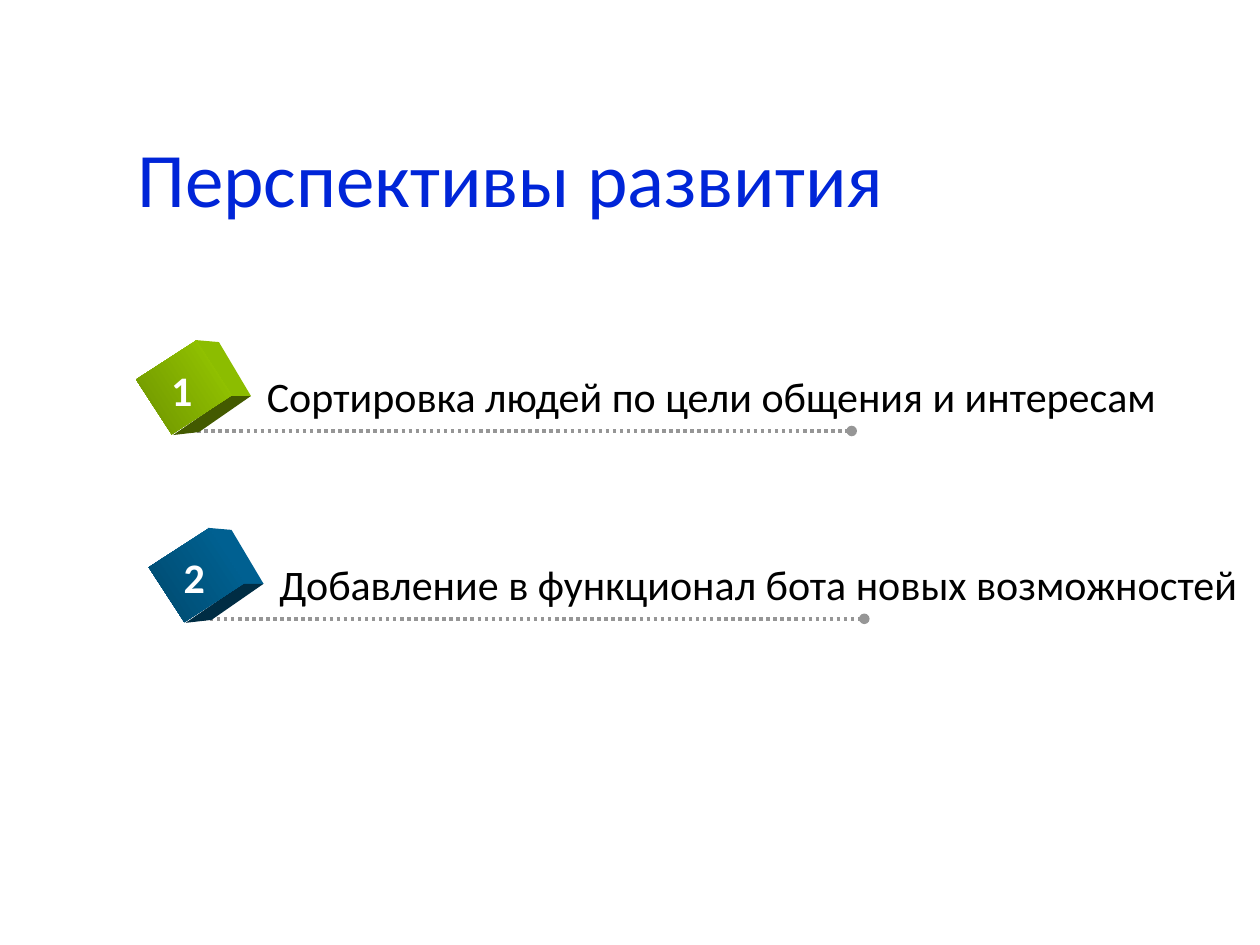
from dataclasses import dataclass

from lxml import etree
from pptx import Presentation
from pptx import util as u
from pptx.dml.color import RGBColor
from pptx.enum import dml, shapes, text
from pptx.oxml.ns import qn

Pt = u.Pt


@dataclass(frozen=True)
class Theme:
    font: str = "Calibri"
    title: str = "0025D8"
    body: str = "000000"
    digit: str = "FFFFFF"
    rule: str = "969696"
    head: int = 44
    size: int = 24


@dataclass(frozen=True)
class Cube:
    light: str
    dark: str
    side: str
    base: str


@dataclass(frozen=True)
class Item:
    label: str
    width: float
    cube: Cube


THEME = Theme()
ITEMS = [
    Item("Сортировка людей по цели общения и интересам", 527.8,
         Cube("99CC00", "6D9200", "8CBD00", "435A00")),
    Item("Добавление в функционал бота новых возможностей", 567.4,
         Cube("006699", "00496D", "006091", "002D44")),
]
# Corner of the first cube, and the step to the next
LEFT, TOP = 86.4, 200.9
STEP_X, STEP_Y = 7.2, 107.3
# Cube faces, measured from its corner
SIDE = [(25, -6.6), (38.7, -5.4), (57, 25.4), (45, 25.4)]
BASE = [(45, 25.4), (57, 25.4), (27.3, 46), (12.5, 47.7)]


def add_run(para, words: str, size: int, color: str, bold: bool = False) -> None:
    run = para.add_run()
    run.text = words
    run.font.name = THEME.font
    run.font.size = Pt(size)
    run.font.bold = bold
    run.font.color.rgb = RGBColor.from_string(color)


def add_text(group, x: float, y: float, w: float, h: float,
             words: str, color: str, bold: bool = False) -> None:
    box = group.shapes.add_textbox(Pt(x), Pt(y), Pt(w), Pt(h))
    frame = box.text_frame
    frame.word_wrap = False
    frame.auto_size = text.MSO_AUTO_SIZE.SHAPE_TO_FIT_TEXT
    add_run(frame.paragraphs[0], words, THEME.size, color, bold)


def add_rule(group, x: float, y: float, w: float) -> None:
    rule = group.shapes.add_connector(
        shapes.MSO_CONNECTOR.STRAIGHT, Pt(x), Pt(y), Pt(x + w), Pt(y))
    rule.line.color.rgb = RGBColor.from_string(THEME.rule)
    rule.line.width = Pt(2)
    rule.line.dash_style = dml.MSO_LINE.ROUND_DOT
    # Dot at the far end, no shadow
    etree.SubElement(rule.line._get_or_add_ln(), qn("a:tailEnd"), type="oval")
    etree.SubElement(rule._element.spPr, qn("a:effectLst"))


def add_face(group, x: float, y: float, points: list, color: str) -> None:
    spots = [(Pt(x + dx), Pt(y + dy)) for dx, dy in points]
    pen = group.shapes.build_freeform(*spots[0])
    pen.add_line_segments(spots[1:], close=True)
    face = pen.convert_to_shape()
    face.shadow.inherit = False
    face.fill.solid()
    face.fill.fore_color.rgb = RGBColor.from_string(color)
    face.line.fill.background()


def add_cube(group, x: float, y: float, cube: Cube) -> None:
    add_face(group, x, y, SIDE, cube.side)
    add_face(group, x, y, BASE, cube.base)
    front = group.shapes.add_shape(
        shapes.MSO_SHAPE.RECTANGLE, Pt(x), Pt(y), Pt(37.4), Pt(41))
    front.rotation = 57
    front.shadow.inherit = False
    front.line.fill.background()
    front.fill.gradient()
    front.fill.gradient_angle = 270
    for stop, color in zip(front.fill.gradient_stops, (cube.light, cube.dark)):
        stop.color.rgb = RGBColor.from_string(color)


def add_item(slide, index: int, item: Item) -> None:
    x, y = LEFT + index * STEP_X, TOP + index * STEP_Y
    group = slide.shapes.add_group_shape()
    add_rule(group, x + 22.3, y + 45.4, 378)
    add_cube(group, x, y, item.cube)
    add_text(group, x + 59, y + 7.2, item.width, 36.7, item.label, THEME.body)
    add_text(group, x + 4.3, y + 3.6, 28, 36, str(index + 1), THEME.digit, True)


def add_title(slide, words: str) -> None:
    title = slide.shapes.title
    title.left, title.top = Pt(71.3), Pt(68.4)
    title.width, title.height = Pt(504.7), Pt(72)
    frame = title.text_frame
    frame.word_wrap = True
    frame.vertical_anchor = text.MSO_ANCHOR.MIDDLE
    para = frame.paragraphs[0]
    para.alignment = text.PP_ALIGN.LEFT
    para.line_spacing = 0.9
    add_run(para, words, THEME.head, THEME.title)


def main() -> None:
    deck = Presentation()
    deck.slide_width, deck.slide_height = Pt(720), Pt(540)
    slide = deck.slides.add_slide(deck.slide_layouts[5])
    add_title(slide, "Перспективы развития")
    for index, item in enumerate(ITEMS):
        add_item(slide, index, item)
    deck.save("out.pptx")


if __name__ == "__main__":
    main()
